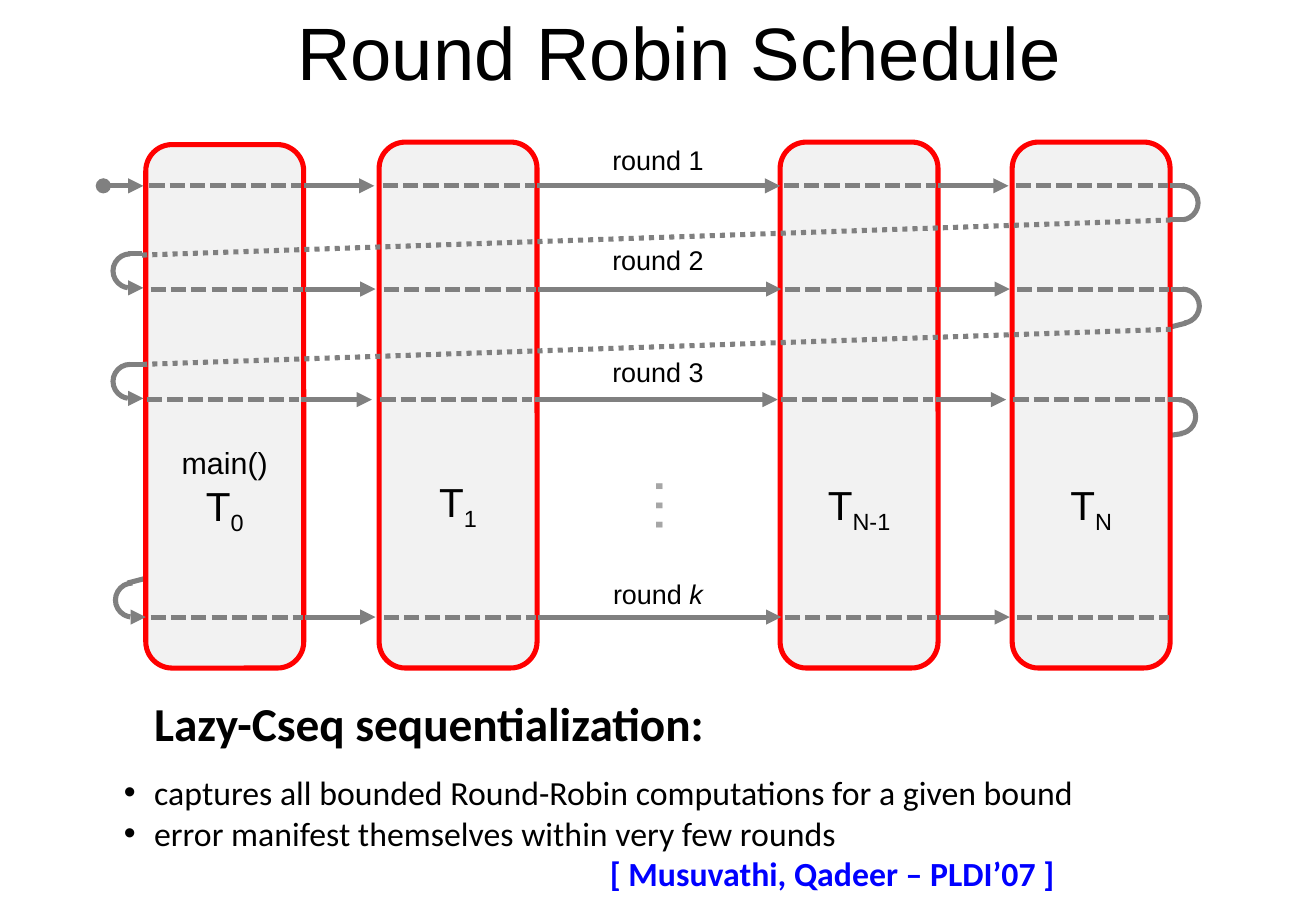
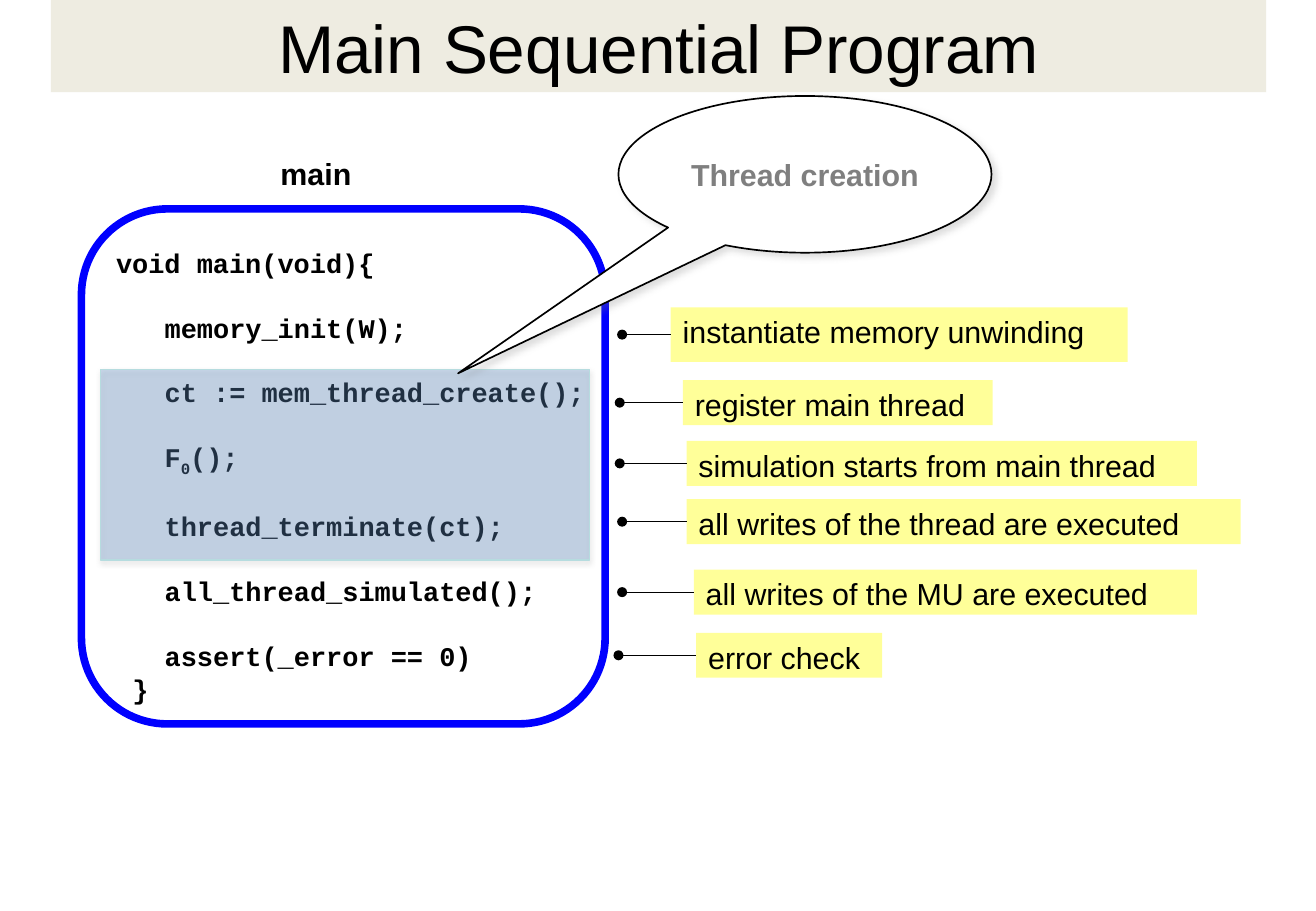
import lxml.etree
import pptx
import pptx.dml.color
import pptx.enum.dml
import pptx.enum.shapes
import pptx.enum.text
import pptx.oxml.ns
import pptx.util

Inches, Pt = pptx.util.Inches, pptx.util.Pt
RGBColor = pptx.dml.color.RGBColor
SHAPE = pptx.enum.shapes.MSO_SHAPE
ALIGN = pptx.enum.text.PP_ALIGN
ANCHOR = pptx.enum.text.MSO_ANCHOR
DASH = pptx.enum.dml.MSO_LINE
qn = pptx.oxml.ns.qn

BLACK = RGBColor(0x00, 0x00, 0x00)
WHITE = RGBColor(0xFF, 0xFF, 0xFF)
GREY = RGBColor(0x80, 0x80, 0x80)
CALLOUT_GREY = RGBColor(0x7F, 0x7F, 0x7F)
DOTS_GREY = RGBColor(0xA6, 0xA6, 0xA6)
LANE_GREY = RGBColor(0xF2, 0xF2, 0xF2)
RED = RGBColor(0xFF, 0x00, 0x00)
BLUE = RGBColor(0x00, 0x00, 0xFF)
YELLOW = RGBColor(0xFF, 0xFF, 0x99)
BEIGE = RGBColor(0xEE, 0xEC, 0xE1)
STEEL = RGBColor(0x4F, 0x81, 0xBD)
PALE_TEAL = RGBColor(0xB6, 0xDC, 0xDF)

SUB = {"baseline": "-25000"}

# Slide 1 content: lanes as (left, top, label top, label paragraphs)
T_FORMAT = {"size": Pt(24)}
LANES = [
    (1.2, 1.19, 3.61, [[("main()", {"size": Pt(18)})], [("T", {}), ("0", SUB)]]),
    (3.12, 1.17, 3.88, [[("T", {}), ("1", SUB)]]),
    (6.42, 1.17, 3.9, [[("T", {}), ("N-1", SUB)]]),
    (8.33, 1.17, 3.9, [[("T", {}), ("N", SUB)]]),
]
LANE_WIDTH, LANE_BOTTOM = 1.3, 5.5
# Rounds as (name, name format, y, sideways shift, label top)
ROUNDS = [
    ("1", {}, 1.53, 0, 1.13),
    ("2", {}, 2.38, 0.01, 1.96),
    ("3", {}, 3.29, -0.02, 2.88),
    ("k", {"italic": True}, 5.08, 0.01, 4.71),
]
ARROW_ENDS = [3.08, 6.42, 8.3]
TURN = 0.28
LEFT_TURNS = [(0.93, 2.09), (0.93, 3), (0.95, 4.8)]
HIDDEN_RETURNS = [(8.5, 3.75, 9.73, 3.57), (8.42, 3, 9.76, 2.66),
                  (1.05, 4.8, 2.5, 4.42)]
DOTTED_RETURNS = [(1.17, 2.1, 9.67, 1.81), (1.17, 3, 9.67, 2.71)]
RETURN_STUBS = [(1.05, 2.09, 1.17, 2.09), (1.05, 3, 1.17, 3),
                (9.63, 1.81, 9.75, 1.81)]
# Summary lines as (text, format, left margin, bulleted, space before)
SUMMARY = [
    ("Lazy-Cseq sequentialization:", {"size": Pt(28), "bold": True}, 0.5, False, 0),
    ("captures all bounded Round-Robin computations for a given bound", {}, 0.5, True, 12.2),
    ("error manifest themselves within very few rounds", {}, 0.5, True, 0),
    ("[ Musuvathi, Qadeer – PLDI’07 ]", {"bold": True, "color": BLUE}, 4.25, False, 0),
]

# Slide 2 content: code lines as (indent in characters, space before, runs)
CODE_GAP = 19.2
CODE = [
    (2, 0, [("void main(void){", {})]),
    (5, CODE_GAP, [("memory_init(W);", {})]),
    (5, CODE_GAP, [("ct := mem_thread_create();", {})]),
    (5, CODE_GAP, [("F", {}), ("0", SUB), ("();", {})]),
    (5, CODE_GAP, [("thread_terminate(ct);", {})]),
    (5, CODE_GAP, [("all_thread_simulated();", {})]),
    (5, CODE_GAP, [("assert(_error == 0)", {})]),
    (3, 0.7, [("}", {})]),
]
CHARACTER = 9.6 / 72
# Notes as (text, box, dot x)
NOTES = [
    ("instantiate memory unwinding", (5.52, 2.53, 3.76, 0.45), 5.12),
    ("register main thread", (5.62, 3.13, 2.55, 0.37), 5.1),
    ("simulation starts from main thread", (5.65, 3.63, 4.2, 0.37), 5.1),
    ("all writes of the thread are executed", (5.65, 4.11, 4.56, 0.37), 5.12),
    ("all writes of the MU are executed", (5.71, 4.69, 4.14, 0.37), 5.12),
    ("error check", (5.73, 5.21, 1.53, 0.37), 5.09),
]


def add_xml(parent, tag, **attributes):
    return lxml.etree.SubElement(parent, qn(tag), attributes)


def write(shape, paragraphs, base, align=ALIGN.LEFT, anchor=ANCHOR.TOP):
    """Fill a shape with paragraphs, each a list of (text, format) runs."""
    frame = shape.text_frame
    frame.word_wrap = True
    frame.vertical_anchor = anchor
    for number, runs in enumerate(paragraphs):
        paragraph = frame.paragraphs[0] if number == 0 else frame.add_paragraph()
        paragraph.alignment = align
        for text, extra in runs:
            run = paragraph.add_run()
            run.text = text
            for name, value in {"name": "Arial", "color": BLACK, **base, **extra}.items():
                if name == "color":
                    run.font.color.rgb = value
                elif name == "baseline":
                    run.font._element.set(name, value)
                else:
                    setattr(run.font, name, value)


def add_text(slide, box, paragraphs, base, align=ALIGN.CENTER, anchor=ANCHOR.TOP):
    shape = slide.shapes.add_textbox(*map(Inches, box))
    write(shape, paragraphs, base, align, anchor)
    return shape


def add_shape(slide, preset, box, fill=None, line=None, width=0, adjustments=()):
    shape = slide.shapes.add_shape(preset, *map(Inches, box))
    shape.shadow.inherit = False
    for part, color in ((shape.fill, fill), (shape.line.fill, line)):
        if color is None:
            part.background()
        else:
            part.solid()
            part.fore_color.rgb = color
    if line is not None:
        shape.line.width = Pt(width)
    for number, value in enumerate(adjustments):
        shape.adjustments[number] = value
    return shape


def add_line(slide, ends, color=GREY, width=3, dash=None, head=None, tail=None):
    line = slide.shapes.add_connector(
        pptx.enum.shapes.MSO_CONNECTOR.STRAIGHT, *map(Inches, ends))
    line.line.color.rgb = color
    line.line.width = Pt(width)
    if dash is not None:
        line.line.dash_style = dash
    for tag, kind in (("a:headEnd", head), ("a:tailEnd", tail)):
        if kind:
            add_xml(line.line._get_or_add_ln(), tag, type=kind)
    add_xml(line._element.spPr, "a:effectLst")
    return line


def add_shadow(shape, opacity, blur, distance, degrees):
    effects = shape._element.spPr.find(qn("a:effectLst"))
    shadow = add_xml(effects, "a:outerShdw", blurRad=str(Pt(blur)),
                     dist=str(Pt(distance)), dir=str(degrees * 60000),
                     rotWithShape="0")
    color = add_xml(shadow, "a:srgbClr", val=str(GREY))
    add_xml(color, "a:alpha", val=str(opacity * 1000))


def add_title(slide, text, size, box, fill=None):
    title = add_text(slide, box, [[(text, {})]], {"size": Pt(size)},
                     anchor=ANCHOR.MIDDLE)
    if fill is not None:
        title.fill.solid()
        title.fill.fore_color.rgb = fill


def set_margin(paragraph, left, bulleted=False):
    properties = paragraph._p.get_or_add_pPr()
    properties.set("marL", str(Inches(left)))
    properties.set("indent", str(Inches(-0.25 if bulleted else 0)))
    if bulleted:
        add_xml(properties, "a:buFont", typeface="Arial")
        add_xml(properties, "a:buChar", char="•")


def build_schedule(slide):
    add_title(slide, "Round Robin Schedule", 44, (0.59, 0, 10, 0.83))

    # Lanes, over the return lines that pass behind them
    for ends in HIDDEN_RETURNS:
        add_line(slide, ends)
    for left, top, label_top, label in LANES:
        add_shape(slide, SHAPE.ROUNDED_RECTANGLE,
                  (left, top, LANE_WIDTH, LANE_BOTTOM - top), LANE_GREY, RED, 3)
        add_text(slide, (left + 0.1, label_top, LANE_WIDTH - 0.2, 0.5), label, T_FORMAT)

    # Rounds: dashes inside the lanes, arrows between them
    add_line(slide, (0.85, 1.53, 1.18, 1.53), head="oval", tail="triangle")
    for name, name_format, y, shift, label_top in ROUNDS:
        for left, *_ in LANES:
            start = left + 0.03 + shift
            add_line(slide, (start, y, start + 1.25, y), dash=DASH.SQUARE_DOT)
        for (left, *_), end in zip(LANES, ARROW_ENDS):
            add_line(slide, (left + LANE_WIDTH + shift, y, end + shift, y), tail="triangle")
        add_text(slide, (4.58, label_top, 1.67, 0.37),
                 [[("round ", {}), (name, name_format)]], {"size": Pt(16)})

    # Turns from one round to the next
    for _, _, y, shift, _ in ROUNDS[:-1]:
        add_shape(slide, SHAPE.ARC, (9.58 + shift, y, TURN, TURN),
                  line=GREY, width=3, adjustments=(162, 49.69))
        add_line(slide, (9.63 + shift, y, 9.75 + shift, y))
    for left, top in LEFT_TURNS:
        add_shape(slide, SHAPE.ARC, (left, top, TURN, TURN),
                  line=GREY, width=3, adjustments=(58.31, 162))
        add_line(slide, (left + 0.13, top + TURN, left + 0.25, top + TURN),
                 tail="triangle")
    for ends in RETURN_STUBS:
        add_line(slide, ends)
    for ends in DOTTED_RETURNS:
        add_line(slide, ends, dash=DASH.ROUND_DOT)
    more_rounds = add_text(slide, (5.02, 3.81, 1.17, 0.71), [[("…", {})]],
                           {"size": Pt(36), "color": DOTS_GREY}, anchor=ANCHOR.MIDDLE)
    more_rounds.rotation = 90

    # Summary
    summary = add_text(slide, (0.67, 5.67, 9.55, 1.82),
                       [[(text, extra)] for text, extra, *_ in SUMMARY],
                       {"name": "Calibri", "size": Pt(20)}, ALIGN.LEFT)
    for paragraph, (_, _, margin, bulleted, before) in zip(
            summary.text_frame.paragraphs, SUMMARY):
        paragraph.space_before = Pt(before)
        set_margin(paragraph, margin, bulleted)


def build_program(slide):
    add_title(slide, "Main Sequential Program", 40, (0.42, 0, 10, 0.76), BEIGE)

    # Code
    add_shape(slide, SHAPE.ROUNDED_RECTANGLE, (0.67, 1.72, 4.31, 4.24), WHITE, BLUE, 4.5)
    code = add_text(slide, (0.59, 1.98, 4.85, 3.9), [runs for _, _, runs in CODE],
                    {"name": "Courier New", "size": Pt(16), "bold": True}, ALIGN.LEFT)
    for paragraph, (indent, before, _) in zip(code.text_frame.paragraphs, CODE):
        paragraph.space_before = Pt(before)
        set_margin(paragraph, indent * CHARACTER)
    add_text(slide, (0.85, 1.23, 3.5, 0.4), [[("main", {})]],
             {"size": Pt(18), "bold": True})

    # Notes, each joined to its dot by a level line
    for text, box, dot_x in NOTES:
        note = add_shape(slide, SHAPE.RECTANGLE, box, YELLOW)
        write(note, [[(text, {})]], {"size": Pt(18)})
        left, top, _, height = box
        middle = top + height / 2
        pointer = add_line(slide, (dot_x, middle, left, middle), BLACK, 0.75, head="oval")
        pointer.end_connect(note, 1)

    # Highlight and its callout
    highlight = add_shape(slide, SHAPE.RECTANGLE, (0.83, 3.04, 4.02, 1.57),
                          STEEL, PALE_TEAL, 0.75)
    fill_color = highlight._element.spPr.find(qn("a:solidFill")).find(qn("a:srgbClr"))
    add_xml(fill_color, "a:alpha", val="30000")
    add_shadow(highlight, 35, 3.1, 1.8, 90)
    callout = add_shape(slide, SHAPE.OVAL_CALLOUT, (5.09, 0.79, 3.07, 1.29),
                        WHITE, BLACK, 1, (-0.93, 1.27))
    add_shadow(callout, 25, 4, 3, 45)
    write(callout, [[("Thread creation", {})]],
          {"size": Pt(18), "bold": True, "color": CALLOUT_GREY},
          ALIGN.CENTER, ANCHOR.MIDDLE)
    callout.text_frame.margin_left = callout.text_frame.margin_right = 0


def main():
    deck = pptx.Presentation()
    deck.slide_width, deck.slide_height = Inches(10.83), Inches(7.5)
    for build in (build_schedule, build_program):
        build(deck.slides.add_slide(deck.slide_layouts[6]))
    deck.save("out.pptx")


if __name__ == "__main__":
    main()
